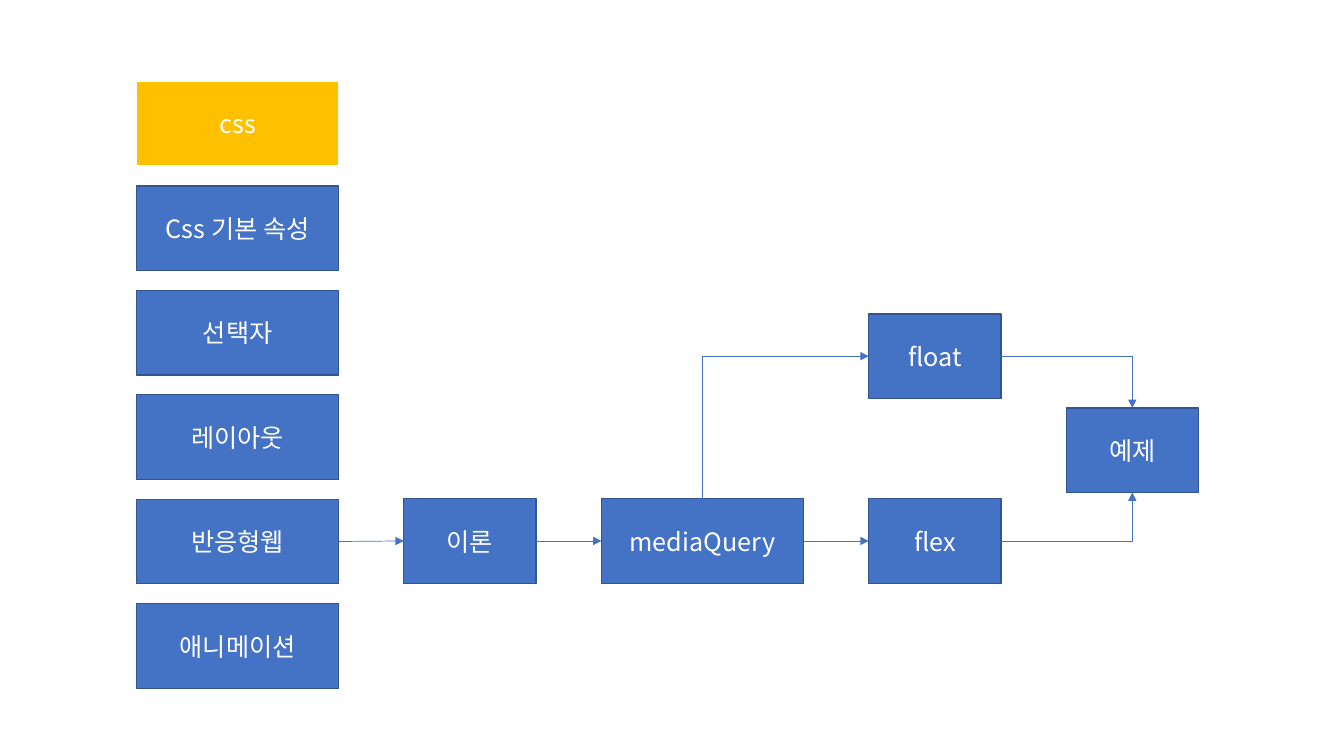
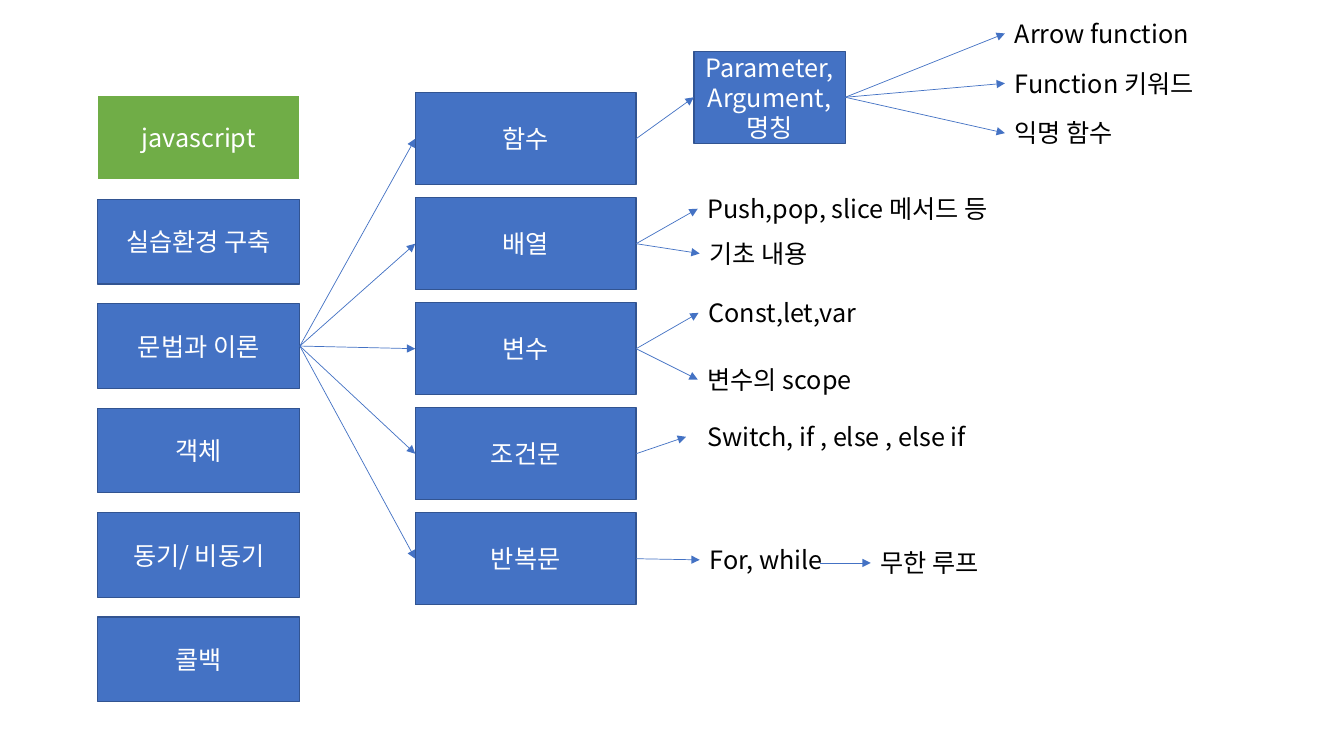
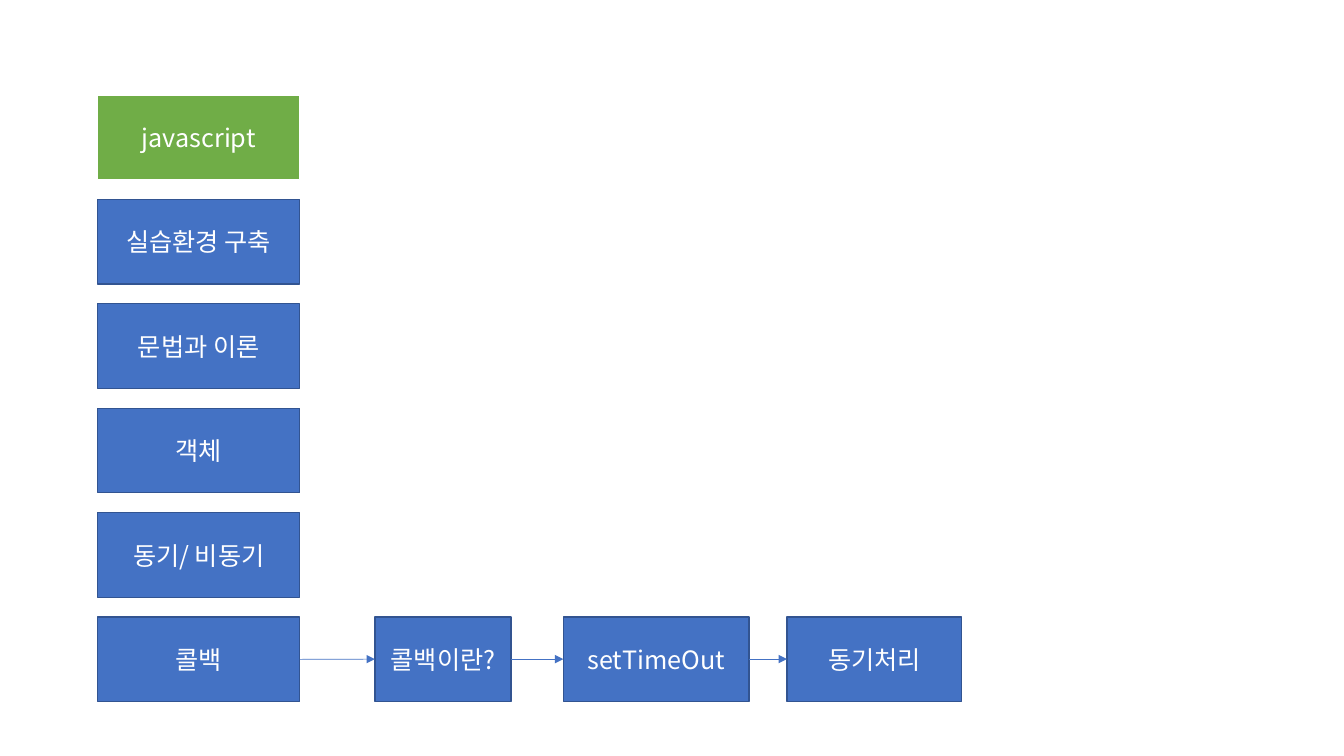
from lxml import etree
from pptx import Presentation
from pptx.dml.color import RGBColor
from pptx.enum.shapes import MSO_CONNECTOR, MSO_SHAPE
from pptx.enum.text import MSO_ANCHOR, PP_ALIGN
from pptx.oxml.ns import qn
from pptx.util import Pt

STRAIGHT, ELBOW = MSO_CONNECTOR.STRAIGHT, MSO_CONNECTOR.ELBOW
RECTANGLE = MSO_SHAPE.RECTANGLE
MIDDLE, CENTER = MSO_ANCHOR.MIDDLE, PP_ALIGN.CENTER
TOP, LEFT, BOTTOM, RIGHT = range(4)

FONT = "Noto Sans CJK KR"
WHITE = RGBColor(0xFF, 0xFF, 0xFF)
BLACK = RGBColor(0x00, 0x00, 0x00)
BLUE = RGBColor(0x44, 0x72, 0xC4)
NAVY = RGBColor(0x32, 0x54, 0x91)
AMBER = RGBColor(0xFF, 0xC0, 0x00)
GREEN = RGBColor(0x70, 0xAD, 0x47)

MENU_WIDTH, BOX_HEIGHT, MENU_STEP = 144.4, 60.4, 74.6
SMALL_WIDTH = 94.4
NOTE_HEIGHT = 29


def add_text(page, text, left, top, width, height, fill=BLUE, outline=NAVY, color=WHITE):
    """Add a filled box with centred text, or a plain text box if fill is None."""
    place = Pt(left), Pt(top), Pt(width), Pt(height)
    if fill is None:
        box = page.shapes.add_textbox(*place)
    else:
        box = page.shapes.add_shape(RECTANGLE, *place)
        box.shadow.inherit = False
        box.fill.solid()
        box.fill.fore_color.rgb = fill
        box.line.color.rgb = outline
        box.line.width = Pt(1)
        box.text_frame.vertical_anchor = MIDDLE
    box.text_frame.word_wrap = True
    box.text_frame.text = text
    for para in box.text_frame.paragraphs:
        if fill is not None:
            para.alignment = CENTER
        for span in para.runs:
            span.font.size = Pt(18)
            span.font.color.rgb = color
            span.font.name = FONT
            etree.SubElement(span.font._element, qn("a:ea"), typeface=FONT)
    return box


def add_arrow(page, begin, end, begin_side=RIGHT, end_side=LEFT, kind=STRAIGHT, head="a:tailEnd"):
    """Draw an arrow; each end is a shape to join or an (x, y) point."""
    line = page.shapes.add_connector(kind, 0, 0, 0, 0)
    if isinstance(begin, tuple):
        line.begin_x, line.begin_y = Pt(begin[0]), Pt(begin[1])
    else:
        line.begin_connect(begin, begin_side)
    if isinstance(end, tuple):
        line.end_x, line.end_y = Pt(end[0]), Pt(end[1])
    else:
        line.end_connect(end, end_side)
    line.line.color.rgb = BLUE
    line.line.width = Pt(0.5)
    etree.SubElement(line.line._get_or_add_ln(), qn(head), type="triangle")
    properties = line._element.spPr
    etree.SubElement(properties, qn("a:effectLst"))
    if kind == ELBOW:
        properties.find(qn("a:prstGeom")).set("prst", "bentConnector2")


deck = Presentation()
deck.slide_width, deck.slide_height = Pt(960), Pt(540)
blank = deck.slide_layouts[6]

# Left-hand menu of every slide
css_topics = ["css", "Css 기본 속성", "선택자", "레이아웃", "반응형웹", "애니메이션"]
script_topics = ["javascript", "실습환경 구축", "문법과 이론", "객체", "동기/ 비동기", "콜백"]
pages, menus = [], []
for topics, accent, menu_left, menu_top in [
    (css_topics, AMBER, 97.6, 58.2),
    (script_topics, GREEN, 69.8, 67.8),
    (script_topics, GREEN, 69.8, 67.8),
]:
    page = deck.slides.add_slide(blank)
    menu = []
    for row, topic in enumerate(topics):
        fill, outline = (BLUE, NAVY) if row else (accent, WHITE)
        menu.append(add_text(page, topic, menu_left, menu_top + row * MENU_STEP,
                             MENU_WIDTH, BOX_HEIGHT, fill=fill, outline=outline))
    pages.append(page)
    menus.append(menu)
css_page, syntax_page, callback_page = pages

# Slide 1: responsive web flow
flow_top = 356.2
theory = add_text(css_page, "이론", 288.4, flow_top, SMALL_WIDTH, BOX_HEIGHT)
media_query = add_text(css_page, "mediaQuery", 429.6, flow_top, MENU_WIDTH, BOX_HEIGHT)
flex_box = add_text(css_page, "flex", 620.6, flow_top, SMALL_WIDTH, BOX_HEIGHT)
float_box = add_text(css_page, "float", 620.6, 224.2, SMALL_WIDTH, BOX_HEIGHT)
example = add_text(css_page, "예제", 761.6, 291.4, SMALL_WIDTH, BOX_HEIGHT)
flow = [menus[0][4], theory, media_query, flex_box]
for begin, end in zip(flow, flow[1:]):
    add_arrow(css_page, begin, end)
add_arrow(css_page, float_box, media_query, LEFT, TOP, kind=ELBOW, head="a:headEnd")
add_arrow(css_page, float_box, example, RIGHT, TOP, kind=ELBOW)
add_arrow(css_page, flex_box, example, RIGHT, BOTTOM, kind=ELBOW)

# Slide 2: syntax topics, each with its notes (text, left, top, width)
syntax_topics = [
    ("함수", []),
    ("배열", [("Push,pop, slice 메서드 등", 498.4, 134.6, 248),
            ("기초 내용", 499.8, 166.6, 202)]),
    ("변수", [("Const,let,var", 499, 209, 202), ("변수의 scope", 498.4, 256.6, 202)]),
    ("조건문", [("Switch, if , else , else if", 498.4, 297.4, 202)]),
    ("반복문", [("For, while", 499.8, 385.4, 202)]),
]
syntax_boxes = []
for row, (topic, notes) in enumerate(syntax_topics):
    box = add_text(syntax_page, topic, 296.6, 66.2 + row * 75, 157.8, 65.8)
    add_arrow(syntax_page, menus[1][2], box)
    syntax_boxes.append(box)
    for text, left, top, width in notes:
        note = add_text(syntax_page, text, left, top, width, NOTE_HEIGHT, fill=None, color=BLACK)
        add_arrow(syntax_page, box, (490, 312) if topic == "조건문" else note)

# Function names and forms
naming = add_text(syntax_page, "Parameter,\nArgument,\n명칭", 495.6, 36.6, 108.2, 65.8)
add_arrow(syntax_page, syntax_boxes[0], naming)
for row, form in enumerate(["Arrow function", "Function 키워드", "익명 함수"]):
    note = add_text(syntax_page, form, 717.8, 9.4 + row * 35.6, 149, NOTE_HEIGHT,
                    fill=None, color=BLACK)
    add_arrow(syntax_page, naming, note)

# Endless loop
endless = add_text(syntax_page, "무한 루프", 622, 387.6, 202, NOTE_HEIGHT, fill=None, color=BLACK)
add_arrow(syntax_page, (585.4, 402.1), endless)

# Slide 3: callback steps
begin = menus[2][5]
for step, left, width in [("콜백이란?", 267.8, 97.4), ("setTimeOut", 402.4, 132.6),
                          ("동기처리", 562.2, 124.8)]:
    box = add_text(callback_page, step, left, 440.6, width, BOX_HEIGHT)
    add_arrow(callback_page, begin, box)
    begin = box

deck.save("out.pptx")
